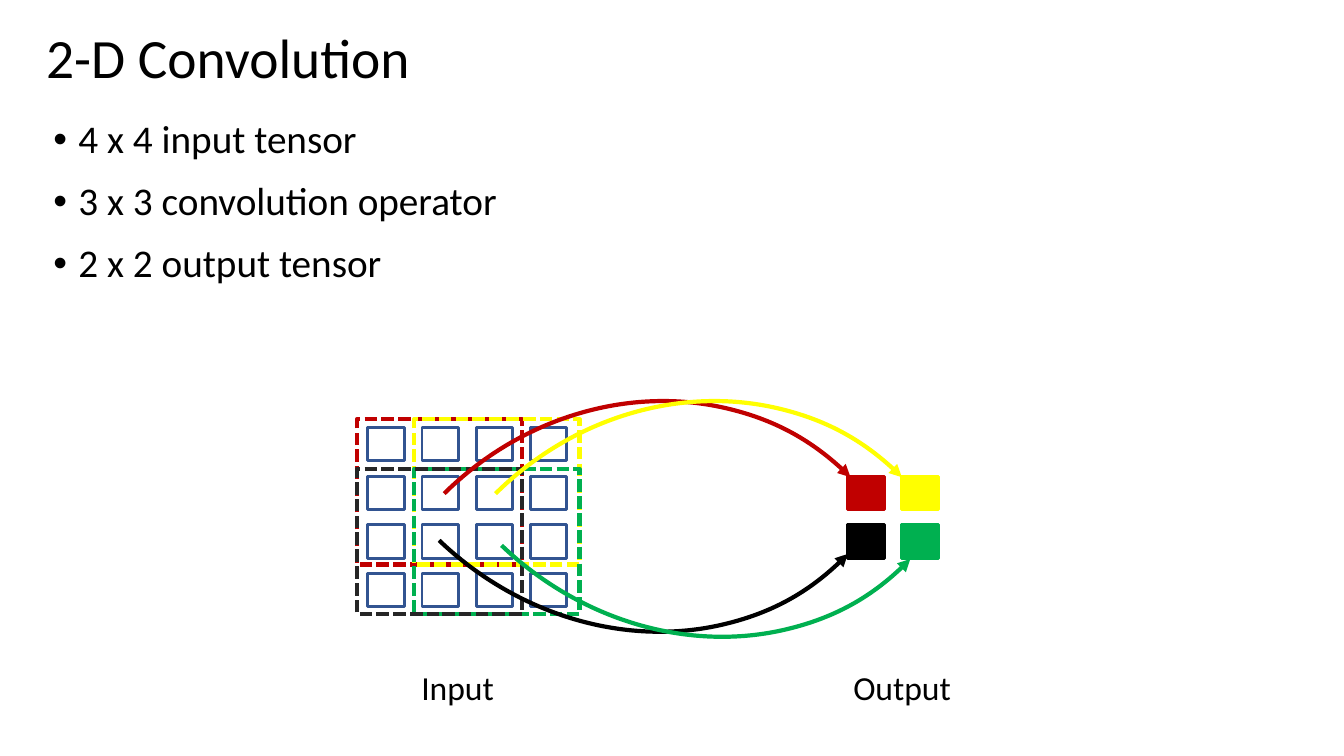
from lxml.etree import SubElement
from pptx import Presentation
from pptx.dml.color import RGBColor
from pptx.enum.dml import MSO_LINE
from pptx.enum.shapes import MSO_SHAPE as Shape
from pptx.enum.text import MSO_ANCHOR as Anchor, PP_ALIGN as Align
from pptx.oxml.ns import qn
from pptx.util import Pt

COLORS = {
    "red": "C00000",
    "yellow": "FFFF00",
    "black": "000000",
    "green": "00B050",
    "dark": "262626",
    "blue": "325491",
}
CELL_W, CELL_H = 26.2, 23.8
PITCH_X, PITCH_Y = 38.7, 34.8
INPUT_X, OUTPUT_X, GRID_Y = 262.7, 605.5, 305.3
WINDOW_X, WINDOW_Y = (254.9, 295.9), (299.5, 334.8)
WINDOW_W, WINDOW_H = 118.1, 103.7


def rgb(name):
    return RGBColor.from_string(COLORS[name])


def add_outline(s, kind, box, color, width):
    sp = s.shapes.add_shape(kind, *map(Pt, box))
    sp.shadow.inherit = False
    sp.fill.background()
    sp.line.color.rgb = rgb(color)
    sp.line.width = Pt(width)
    return sp


def add_cell(s, left, col, row, color, filled=False):
    box = (left + col * PITCH_X, GRID_Y + row * PITCH_Y, CELL_W, CELL_H)
    sp = add_outline(s, Shape.RECTANGLE, box, color, 2)
    if filled:
        sp.fill.solid()
        sp.fill.fore_color.rgb = rgb(color)


def add_window(s, col, row, color):
    box = (WINDOW_X[col], WINDOW_Y[row], WINDOW_W, WINDOW_H)
    sp = add_outline(s, Shape.RECTANGLE, box, color, 3)
    sp.line.dash_style = MSO_LINE.SQUARE_DOT


def add_arc(s, box, color, rotation, flipped=False):
    sp = add_outline(s, Shape.ARC, box, color, 3)
    sp.rotation = rotation
    if flipped:
        sp._element.spPr.find(qn("a:xfrm")).set("flipV", "1")
    ln = sp._element.spPr.find(qn("a:ln"))
    SubElement(ln, qn("a:tailEnd"), type="triangle")


def add_bullet(p):
    pPr = p._p.get_or_add_pPr()
    pPr.set("marL", str(Pt(18)))
    pPr.set("indent", str(-Pt(18)))
    SubElement(pPr, qn("a:buFont"), typeface="Arial")
    SubElement(pPr, qn("a:buChar"), char="•")


def add_text(s, box, lines, size, align=Align.LEFT, anchor=Anchor.TOP,
             spacing=1.0, bullets=False):
    tf = s.shapes.add_textbox(*map(Pt, box)).text_frame
    tf.word_wrap = True
    tf.vertical_anchor = anchor
    for i, line in enumerate(lines):
        p = tf.add_paragraph() if i else tf.paragraphs[0]
        p.alignment = align
        p.line_spacing = spacing
        if bullets:
            p.space_before = Pt(14)
            add_bullet(p)
        r = p.add_run()
        r.text = line
        r.font.name = "Calibri"
        r.font.size = Pt(size)
        r.font.color.rgb = rgb("black")


def main():
    prs = Presentation()
    prs.slide_width, prs.slide_height = Pt(960), Pt(540)
    s = prs.slides.add_slide(prs.slide_layouts[6])

    add_text(s, (25.9, 16.6, 917.3, 53.3), ["2-D Convolution"], 39.6,
             anchor=Anchor.MIDDLE, spacing=0.9)

    add_window(s, 0, 0, "red")
    for row in range(4):
        for col in range(4):
            add_cell(s, INPUT_X, col, row, "blue")
    for i, color in enumerate(("red", "yellow", "black", "green")):
        add_cell(s, OUTPUT_X, i % 2, 1 + i // 2, color, filled=True)
    add_window(s, 1, 0, "yellow")
    add_window(s, 1, 1, "green")
    add_window(s, 0, 1, "dark")

    for left, label in ((244.1, "Input"), (561.6, "Output")):
        add_text(s, (left, 473, 165.6, 36), [label], 24, align=Align.CENTER)

    add_arc(s, (240.5, 295.9, 429.1, 391.7), "red", 315.3)
    add_arc(s, (277.2, 295.9, 429.1, 391.7), "yellow", 315.3)
    add_arc(s, (230.4, 50.4, 435.6, 389.5), "black", 43.7, flipped=True)
    add_arc(s, (275, 54, 435.6, 389.5), "green", 43.7, flipped=True)

    add_text(s, (31, 82.1, 907.2, 157.7),
             ["4 x 4 input tensor", "3 x 3 convolution operator",
              "2 x 2 output tensor"], 28, spacing=0.9, bullets=True)
    prs.save("out.pptx")


if __name__ == "__main__":
    main()
